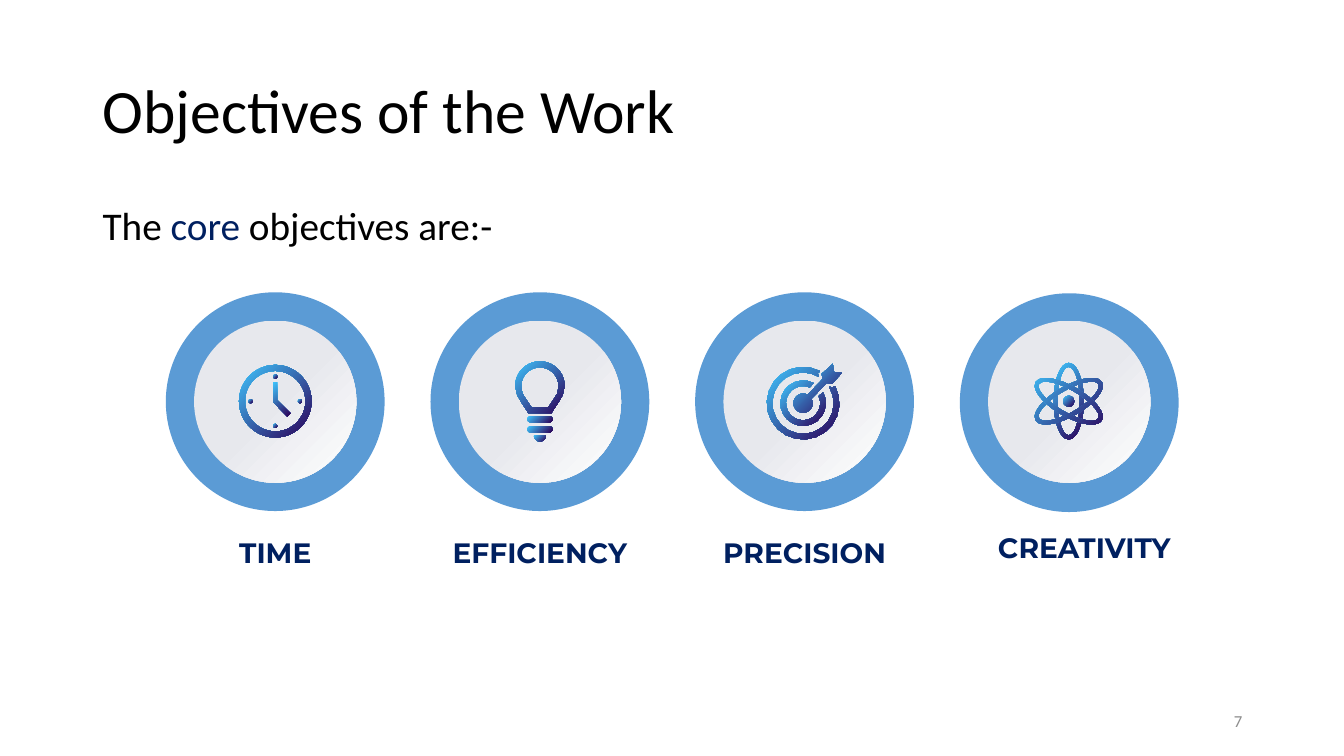
from dataclasses import dataclass
from math import cos, radians, sin

from lxml.etree import SubElement
from pptx import Presentation
from pptx.dml.color import RGBColor
from pptx.enum.shapes import MSO_SHAPE
from pptx.enum.text import MSO_ANCHOR, PP_ALIGN
from pptx.oxml.ns import qn
from pptx.util import Inches, Pt

COLORS = {
    "black": "000000", "navy": "002060", "grey": "8C8C8C", "ring": "5B9BD5",
    "disc": "E7E8ED", "white": "FFFFFF", "violet": "2C0058", "sky": "3FC7FF",
}
RING_SIZE, DISC_SIZE = 2.17, 1.61
FIRST_CENTER, CENTER_STEP = 2.73, 2.625
DISC_MIDDLE = 3.985
ARC_STEPS = 20

Contour = list[tuple[float, float]]


@dataclass
class Span:
    text: str
    size: float
    color: str = "black"
    font: str = "Calibri"
    bold: bool = False


@dataclass
class Objective:
    label: str
    label_left: float
    label_width: float
    label_top: float = 5.26
    label_align: PP_ALIGN = PP_ALIGN.CENTER
    ring_middle: float = DISC_MIDDLE


OBJECTIVES = [
    Objective("TIME", 2.27, 0.92),
    Objective("EFFICIENCY", 4.39, 1.93),
    Objective("PRECISION", 7.07, 1.82),
    Objective("CREATIVITY", 9.8, 1.93, 5.21, PP_ALIGN.LEFT, 3.995),
]


def rgb(name: str) -> RGBColor:
    return RGBColor.from_string(COLORS[name])


def add_text(page, place: tuple, spans: list[Span], frame_format: dict, para_format: dict) -> None:
    box = page.shapes.add_textbox(*map(Inches, place))
    para = box.text_frame.paragraphs[0]
    for target, values in ((box.text_frame, frame_format), (para, para_format)):
        for name, value in values.items():
            setattr(target, name, value)
    for item in spans:
        span = para.add_run()
        span.text = item.text
        span.font.color.rgb = rgb(item.color)
        for name, value in {"size": Pt(item.size), "name": item.font, "bold": item.bold}.items():
            setattr(span.font, name, value)


def fill_gradient(shape, first: str, last: str, start: float) -> None:
    shape.fill.gradient()
    shape.fill.gradient_angle = 315
    for stop, color, position in zip(shape.fill.gradient_stops, (first, last), (start, 1)):
        stop.color.rgb = rgb(color)
        stop.position = position


def paint_icon(shape) -> None:
    """Fill with a glow that darkens toward the lower right corner."""
    shape.shadow.inherit = False
    shape.line.fill.background()
    fill_gradient(shape, "violet", "sky", 0)
    linear = shape.element.spPr.find(".//" + qn("a:lin"))
    gradient = linear.getparent()
    gradient.set("rotWithShape", "0")
    gradient.remove(linear)
    radial = SubElement(gradient, qn("a:path"), {"path": "circle"})
    SubElement(radial, qn("a:fillToRect"), {"l": "100000", "t": "100000"})


def add_centered(owner, kind: MSO_SHAPE, x: float, y: float, width: float, height: float):
    """Add a preset shape, without line or shadow, around the point x, y."""
    shape = owner.shapes.add_shape(
        kind, Inches(x - width / 2), Inches(y - height / 2), Inches(width), Inches(height))
    shape.shadow.inherit = False
    shape.line.fill.background()
    return shape


def add_dot(group, x: float, y: float, size: float) -> None:
    paint_icon(add_centered(group, MSO_SHAPE.OVAL, x, y, size, size))


def add_band(group, x: float, y: float, width: float, height: float,
             thickness: float, tilt: float = 0) -> None:
    band = add_centered(group, MSO_SHAPE.DONUT, x, y, width, height)
    band.adjustments[0] = thickness / min(width, height)
    band.rotation = tilt
    paint_icon(band)


def arc(x: float, y: float, radius: float, start: float, end: float) -> Contour:
    """Points along a circular arc; angles run clockwise from the right."""
    angles = [radians(start + (end - start) * step / ARC_STEPS) for step in range(ARC_STEPS + 1)]
    return [(x + radius * cos(angle), y + radius * sin(angle)) for angle in angles]


def add_outline(group, *contours: Contour) -> None:
    scaled = [[(Inches(x), Inches(y)) for x, y in contour] for contour in contours]
    builder = group.shapes.build_freeform(*scaled[0][0])
    for index, points in enumerate(scaled):
        if index:
            builder.move_to(*points[0])
        builder.add_line_segments(points[1:], close=True)
    paint_icon(builder.convert_to_shape())


def draw_clock(group) -> None:
    x, y = 2.73, 3.98
    add_band(group, x, y, 0.72, 0.72, 0.06)
    add_outline(group, [(2.75, 3.79), (2.71, 3.79), (2.71, 3.98), (2.72, 4),
                        (2.85, 4.13), (2.88, 4.1), (2.75, 3.97)])
    for across, down in ((0, -1), (0, 1), (-1, 0), (1, 0)):
        add_dot(group, x + across * 0.245, y + down * 0.245, 0.04)


def draw_bulb(group) -> None:
    x, y = 5.355, 3.83
    for middle in (4.16, 4.26):
        bar = add_centered(group, MSO_SHAPE.ROUNDED_RECTANGLE, x, middle, 0.25, 0.06)
        bar.adjustments[0] = 0.5
        paint_icon(bar)
    add_outline(group, arc(x, 4.32, 0.06, 0, 180))
    glass = [(0.225, 3.92), (0.185, 3.99), (0.125, 4.08), (0.115, 4.1)]
    hollow = [(0.175, 3.9), (0.145, 3.95), (0.085, 4.04)]
    contours = []
    for radius, side in ((0.245, glass), (0.185, hollow)):
        right = [(x + reach, down) for reach, down in side]
        left = [(x - reach, down) for reach, down in reversed(side)]
        contours.append(arc(x, y, radius, 180, 360) + right + left)
    add_outline(group, *contours)


def draw_target(group) -> None:
    x, y = 7.965, 4
    add_outline(group, arc(x, y, 0.095, -28, 298) + [
        (8.16, 3.76), (8.15, 3.71), (8.26, 3.61), (8.27, 3.69),
        (8.35, 3.7), (8.25, 3.81), (8.2, 3.8)])
    add_outline(group, arc(x, y, 0.36, -28, 297) + [(8.13, 3.69), (8.11, 3.7)]
                + arc(x, y, 0.305, 301, -32) + [(8.24, 3.84), (8.26, 3.85), (8.27, 3.83)])
    add_outline(group, arc(x, y, 0.225, -29, 298) + arc(x, y, 0.17, 293, -24))


def draw_atom(group) -> None:
    x, y = 10.6, 3.98
    add_dot(group, x, y, 0.11)
    for tilt in (0, 60, 300):
        add_band(group, x, y, 0.3, 0.76, 0.04, tilt)


def main() -> None:
    deck = Presentation()
    deck.slide_width, deck.slide_height = Inches(13.33), Inches(7.5)
    page = deck.slides.add_slide(deck.slide_layouts[6])

    middle = {"word_wrap": True, "vertical_anchor": MSO_ANCHOR.MIDDLE}
    add_text(page, (0.92, 0.4, 11.5, 1.45), [Span("Objectives of the Work", 44)],
             middle, {"line_spacing": 0.9})
    add_text(page, (0.92, 2, 11.5, 4.76),
             [Span("The ", 28), Span("core", 28, "navy"), Span(" objectives are:-", 28)],
             {"word_wrap": True}, {"line_spacing": 0.9, "space_before": Pt(10)})
    add_text(page, (9.42, 6.95, 3, 0.4), [Span("7", 12, "grey")],
             middle, {"alignment": PP_ALIGN.RIGHT})

    for index, item in enumerate(OBJECTIVES):
        x = FIRST_CENTER + index * CENTER_STEP
        ring = add_centered(page, MSO_SHAPE.OVAL, x, item.ring_middle, RING_SIZE, RING_SIZE)
        ring.fill.solid()
        ring.fill.fore_color.rgb = rgb("ring")
        disc = add_centered(page, MSO_SHAPE.OVAL, x, DISC_MIDDLE, DISC_SIZE, DISC_SIZE)
        fill_gradient(disc, "disc", "white", 0.5)
        add_text(page, (item.label_left, item.label_top, item.label_width, 0.44),
                 [Span(item.label, 20, "navy", "Montserrat", True)],
                 {"word_wrap": False}, {"alignment": item.label_align})

    for draw_icon in (draw_bulb, draw_target, draw_clock, draw_atom):
        draw_icon(page.shapes.add_group_shape())
    deck.save("out.pptx")


if __name__ == "__main__":
    main()
